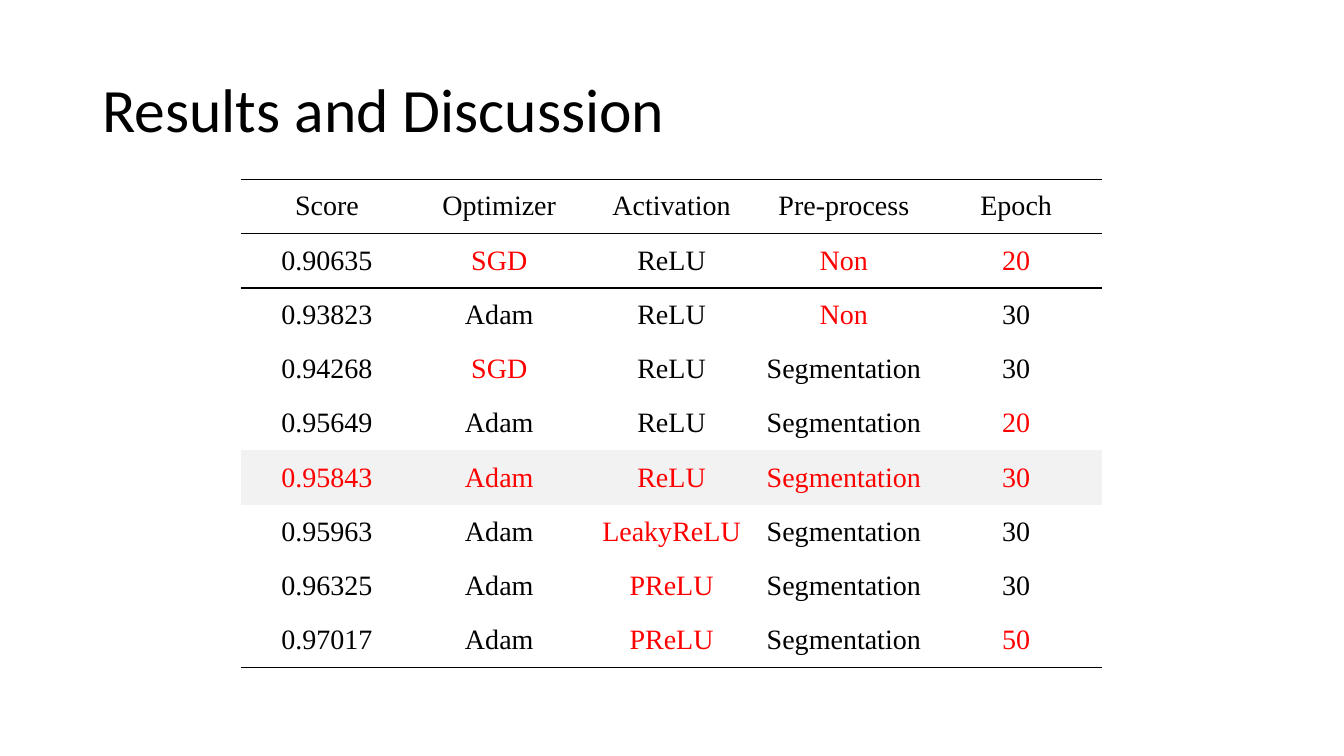
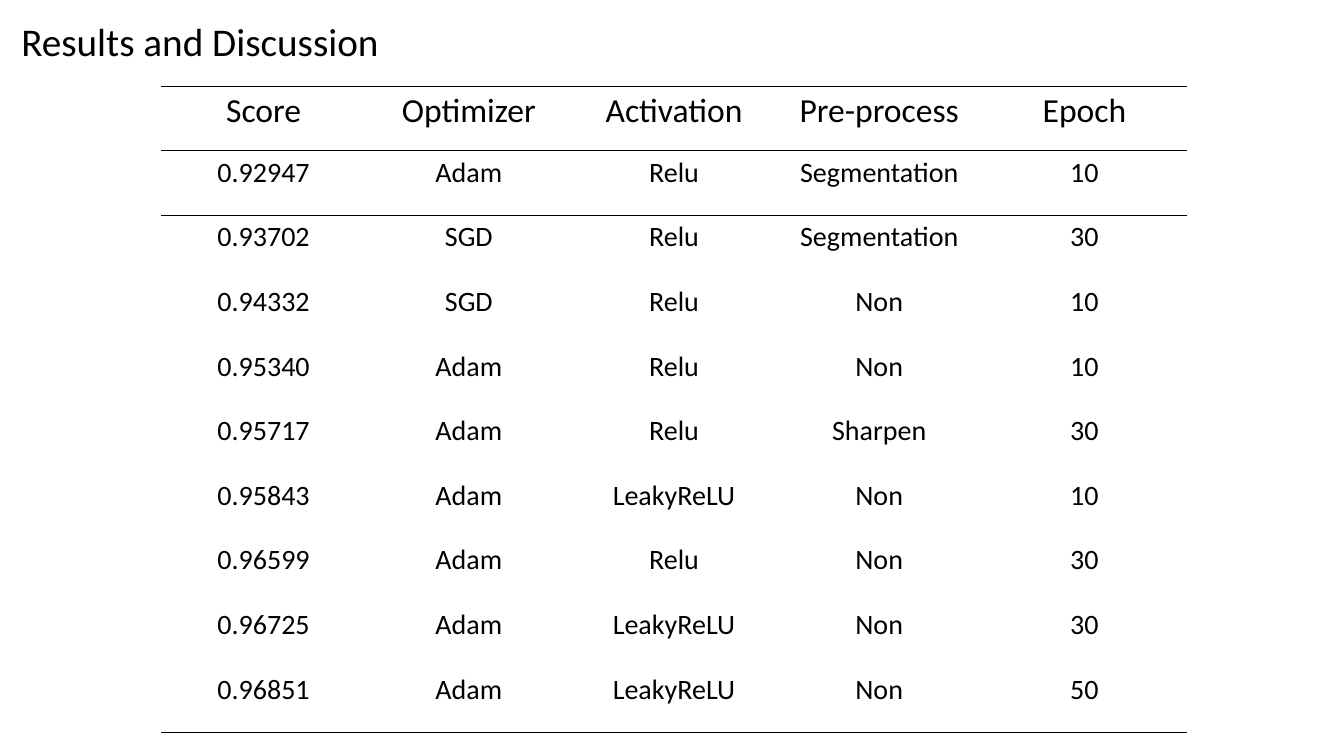
from dataclasses import dataclass

from lxml.etree import SubElement
from pptx import Presentation
from pptx.dml.color import RGBColor
from pptx.enum.text import MSO_ANCHOR, MSO_AUTO_SIZE, PP_ALIGN
from pptx.oxml.ns import qn
from pptx.util import Emu, Pt

EMU_PER_PX = 6350
TITLE_ONLY = 5


@dataclass(frozen=True)
class Theme:
    ink: str = "000000"
    accent: str = "FF0000"
    band: str = "F2F2F2"
    sans: str = "Calibri"
    serif: str = "Times New Roman"
    title_large: int = 44
    title_small: int = 28
    header: int = 24
    body: int = 20
    thin_rule: float = 1
    thick_rule: float = 1.5


THEME = Theme()
TITLE = "Results and Discussion"
HEADER = ("Score", "Optimizer", "Activation", "Pre-process", "Epoch")
TUNED_RUNS = (
    ("0.90635", "SGD", "ReLU", "Non", "20"),
    ("0.93823", "Adam", "ReLU", "Non", "30"),
    ("0.94268", "SGD", "ReLU", "Segmentation", "30"),
    ("0.95649", "Adam", "ReLU", "Segmentation", "20"),
    ("0.95843", "Adam", "ReLU", "Segmentation", "30"),
    ("0.95963", "Adam", "LeakyReLU", "Segmentation", "30"),
    ("0.96325", "Adam", "PReLU", "Segmentation", "30"),
    ("0.97017", "Adam", "PReLU", "Segmentation", "50"),
)
BASELINE = TUNED_RUNS[4]
EARLY_RUNS = (
    ("0.92947", "Adam", "Relu", "Segmentation", "10"),
    ("0.93702", "SGD", "Relu", "Segmentation", "30"),
    ("0.94332", "SGD", "Relu", "Non", "10"),
    ("0.95340", "Adam", "Relu", "Non", "10"),
    ("0.95717", "Adam", "Relu", "Sharpen", "30"),
    ("0.95843", "Adam", "LeakyReLU", "Non", "10"),
    ("0.96599", "Adam", "Relu", "Non", "30"),
    ("0.96725", "Adam", "LeakyReLU", "Non", "30"),
    ("0.96851", "Adam", "LeakyReLU", "Non", "50"),
)


def px(length):
    return Emu(length * EMU_PER_PX)


def style_text(para, size, font, color=THEME.ink, align=PP_ALIGN.CENTER):
    para.alignment = align
    for span in para.runs:
        span.font.size = Pt(size)
        span.font.name = font
        span.font.color.rgb = RGBColor.from_string(color)


def add_titled_page(deck, bounds, size, wrap=True, line_spacing=1.0):
    page = deck.slides.add_slide(deck.slide_layouts[TITLE_ONLY])
    title = page.shapes.title
    title.left, title.top, title.width, title.height = map(px, bounds)
    frame = title.text_frame
    frame.text = TITLE
    frame.word_wrap = wrap
    frame.auto_size = MSO_AUTO_SIZE.NONE
    frame.vertical_anchor = MSO_ANCHOR.TOP
    para = frame.paragraphs[0]
    para.line_spacing = line_spacing
    style_text(para, size, THEME.sans, align=PP_ALIGN.LEFT)
    return page


def set_borders(cell, weights):
    """Rule the sides that have a weight and clear the others; call before filling."""
    properties = cell._tc.get_or_add_tcPr()
    for side in "LRTB":
        weight = weights.get(side)
        line = SubElement(properties, qn(f"a:ln{side}"), w=str(Pt(weight or 0)))
        if weight:
            fill = SubElement(line, qn("a:solidFill"))
            SubElement(fill, qn("a:srgbClr"), val=THEME.ink)
        else:
            SubElement(line, qn("a:noFill"))


def set_margins(cell, horizontal, vertical):
    cell.margin_left = cell.margin_right = px(horizontal)
    cell.margin_top = cell.margin_bottom = px(vertical)


def add_results_table(page, bounds, runs, font, header_size, anchor, margins,
                      split_rule=THEME.thin_rule, baseline=None):
    """Draw the runs; a baseline is banded and other runs show what differs from it."""
    rows = (HEADER, *runs)
    grid = page.shapes.add_table(len(rows), len(HEADER), *map(px, bounds)).table
    grid.first_row = grid.horz_banding = False
    edge_weights = dict.fromkeys((0, 1, len(rows)), THEME.thin_rule)
    edge_weights[2] = split_rule
    for row_index, row in enumerate(rows):
        weights = {"T": edge_weights.get(row_index),
                   "B": edge_weights.get(row_index + 1)}
        is_header = row_index == 0
        is_baseline = row == baseline
        for column, value in enumerate(row):
            cell = grid.cell(row_index, column)
            set_borders(cell, weights)
            set_margins(cell, *margins)
            if is_baseline:
                cell.fill.solid()
                cell.fill.fore_color.rgb = RGBColor.from_string(THEME.band)
            else:
                cell.fill.background()
            cell.vertical_anchor = anchor
            cell.text_frame.text = value
            differs = (baseline is not None and not is_header
                       and column > 0 and value != baseline[column])
            style_text(
                cell.text_frame.paragraphs[0],
                header_size if is_header else THEME.body,
                font,
                THEME.accent if is_baseline or differs else THEME.ink,
            )


def main():
    deck = Presentation()
    deck.slide_width, deck.slide_height = px(1920), px(1080)

    page = add_titled_page(deck, (132, 106, 1656, 127), THEME.title_large,
                           line_spacing=0.9)
    add_results_table(page, (344, 256, 1231, 698), TUNED_RUNS, THEME.serif, THEME.body,
                      MSO_ANCHOR.MIDDLE, (11, 6), THEME.thick_rule, BASELINE)

    page = add_titled_page(deck, (16, 17, 559, 82), THEME.title_small, wrap=False)
    add_results_table(page, (230, 123, 1466, 923), EARLY_RUNS, THEME.sans, THEME.header,
                      MSO_ANCHOR.TOP, (14, 7))

    deck.save("out.pptx")


if __name__ == "__main__":
    main()
